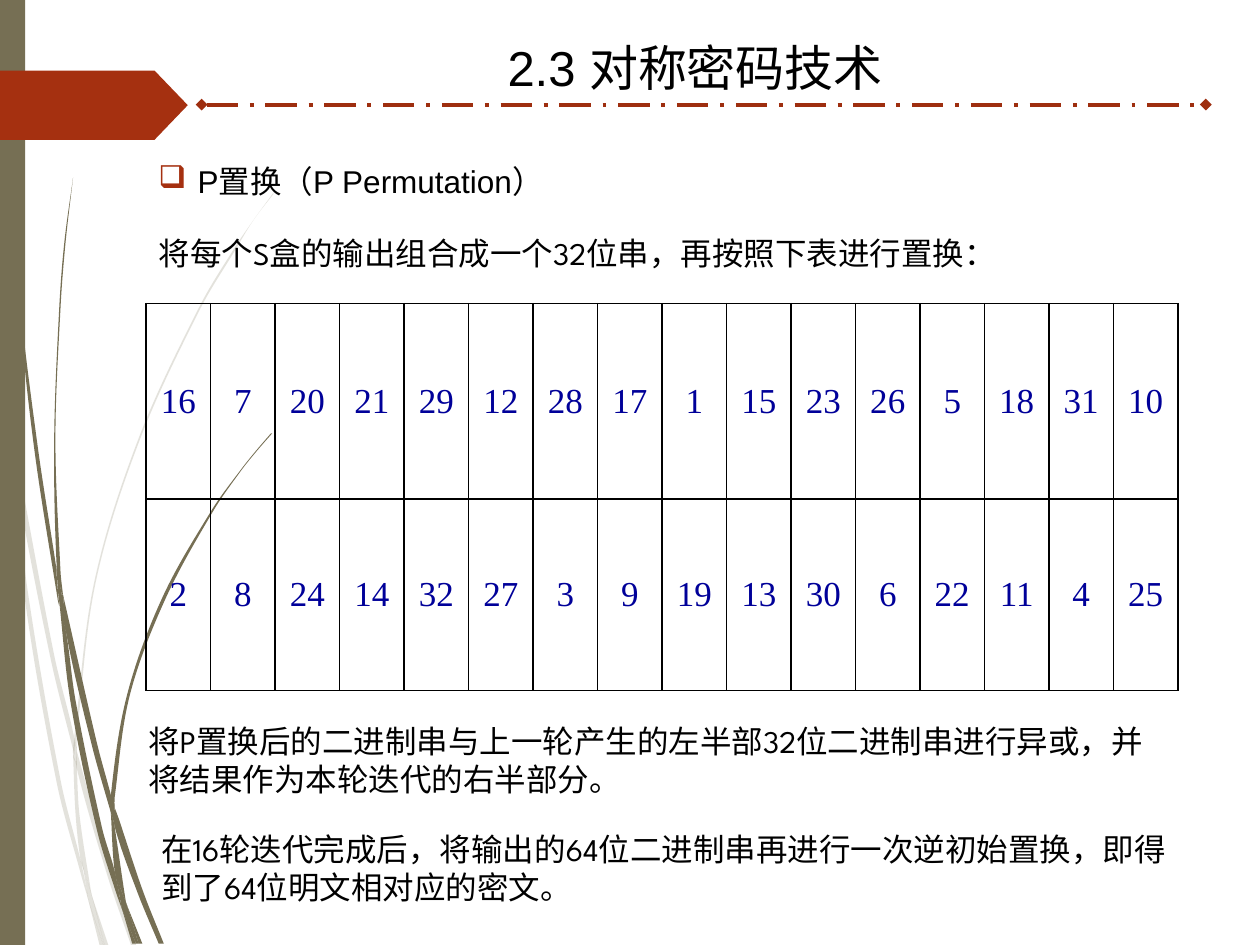
from lxml import etree
from pptx import Presentation
from pptx.dml.color import RGBColor
from pptx.enum.dml import MSO_LINE
from pptx.enum.shapes import MSO_CONNECTOR, MSO_SHAPE
from pptx.enum.text import MSO_ANCHOR, MSO_AUTO_SIZE, PP_ALIGN
from pptx.oxml.ns import qn
from pptx.util import Inches, Pt

RECT, PLATE = MSO_SHAPE.RECTANGLE, MSO_SHAPE.PENTAGON
STRAIGHT, DASH = MSO_CONNECTOR.STRAIGHT, MSO_LINE.LONG_DASH_DOT
CENTER, MIDDLE = PP_ALIGN.CENTER, MSO_ANCHOR.MIDDLE
GROW = MSO_AUTO_SIZE.SHAPE_TO_FIT_TEXT

COLORS = {"olive": "766F54", "red": "A53010", "rule": "9E2E0F",
          "ink": "000000", "navy": "000099"}
BODY = "League Spartan"

# Outlines of the grass blades: x,y knots in inches, joined by smooth curves.
PALE = [
    "0.08,3.5 0.06,3.22 0,2.82 0,2.99 0.07,3.44",
    "0.4,5.22 0.59,5.99 0.59,5.86 0.43,5.2 0.1,3.45 0.12,3.76",
    "0.64,6.07 0.61,5.96 0.61,6.1 0.85,6.94 1.04,7.5 1.08,7.5 0.88,6.92",
    "0.83,7.5 0.86,7.5 0.73,7.11",
    "0.64,6.83 0.48,6.19 0.22,4.69 0.12,3.76 0.08,3.5 0.19,4.7 0.45,6.21 "
    "0.64,6.93 0.7,7.14 0.69,7.07",
    "0.58,5.99 0.6,6.46 0.64,6.83 0.67,6.92 0.73,7.11 0.72,7.06 0.63,6.46 "
    "0.61,6.1 0.61,6.08",
    "0.61,5.84 0.76,4.62 1.11,3.49 1.59,2.45 1.87,1.98 2.01,1.75 2.17,1.54 "
    "2.17,1.53 2.01,1.75 1.86,1.97 1.58,2.44 1.1,3.48 0.75,4.61 0.59,5.84 "
    "0.59,5.86 0.61,5.96",
    "0.7,7.14 0.79,7.5 0.82,7.5",
    "0.61,6.08 0.61,6.1 0.61,5.96 0.59,5.86 0.58,5.99",
    "0.67,6.92 0.65,6.83 0.69,7.07 0.7,7.14 0.82,7.5 0.83,7.5 0.73,7.11",
]
DARK = [
    "0.05,1.1 0.14,2.33 0.27,3.55 0.46,4.77 0.47,4.81 0.45,4.57 0.45,4.53 "
    "0.3,3.55 0.15,2.32 0.06,1.09 0.04,0.48 0.03,0 0.02,0 0.03,0.48",
    "0.73,5.92 0.88,6.45 0.88,6.33 0.88,6.31 0.77,5.9 0.5,4.72 0.53,5.05",
    "0.94,6.49 0.91,6.41 0.91,6.56 1.09,7.08 1.26,7.49 1.3,7.49 1.13,7.06",
    "0.91,6.91 0.81,6.57 0.6,5.56 0.53,5.05 0.47,4.77 0.56,5.57 0.77,6.59 "
    "0.92,7.08 0.97,7.22 0.96,7.17",
    "0.5,4.72 0.48,4.53 0.44,3.49 0.48,2.45 0.52,1.93 0.58,1.41 0.51,1.93 "
    "0.47,2.45 0.43,3.49 0.45,4.49 0.49,4.72",
    "1.1,7.49 1.13,7.49 1.01,7.19",
    "0.47,4.77 0.53,5.05 0.5,4.72 0.49,4.72 0.45,4.49 0.45,4.53",
    "0.91,6.33 1.03,5.52 1.31,4.76 1.69,4.06 1.91,3.74 2.03,3.59 2.16,3.44 "
    "2.15,3.44 2.03,3.58 1.91,3.73 1.68,4.05 1.29,4.74 1.01,5.51 0.88,6.31 "
    "0.91,6.41",
    "0.97,7.22 1.05,7.49 1.08,7.49",
    "0.88,6.45 0.91,6.91 0.96,7.06 1.01,7.19 1,7.16 0.91,6.56 0.9,6.51",
    "0.88,6.45 0.9,6.51 0.91,6.56 0.91,6.41 0.88,6.31 0.88,6.33",
    "0.96,7.06 0.91,6.91 0.96,7.17 0.97,7.22 1.08,7.49 1.1,7.49 1.01,7.19",
]
ORDER = [
    [16, 7, 20, 21, 29, 12, 28, 17, 1, 15, 23, 26, 5, 18, 31, 10],
    [2, 8, 24, 14, 32, 27, 3, 9, 19, 13, 30, 6, 22, 11, 4, 25],
]


def rgb(name):
    return RGBColor.from_string(COLORS[name])


def sub(node, tag, **attrs):
    return etree.SubElement(node, qn(tag), attrs)


def paint(shape, color, alpha=None):
    shape.shadow.inherit = False
    shape.fill.solid()
    shape.fill.fore_color.rgb = rgb(color)
    shape.line.fill.background()
    if alpha:
        tone = shape.fill._xPr.find(qn("a:solidFill"))[0]
        sub(tone, "a:alpha", val=str(alpha * 1000))


def slope(a, b, c):
    """Return the unit direction at b, or 0 where the outline has a corner."""
    come, leave = b - a, c - b
    dot = (come * leave.conjugate()).real
    if dot <= 0.8 * abs(come) * abs(leave):
        return 0
    return (c - a) / abs(c - a)


def curve(shape, knots):
    """Turn the straight sides of a closed outline into smooth curves."""
    count = len(knots)
    lean = [slope(knots[i - 1], knots[i], knots[(i + 1) % count])
            for i in range(count)]
    for i, side in enumerate(list(shape._element.iter(qn("a:lnTo")))):
        j = (i + 1) % count
        third = (knots[j] - knots[i]) / 3
        pulls = (knots[i] + (lean[i] * abs(third) or third),
                 knots[j] - (lean[j] * abs(third) or third))
        for k, pull in enumerate(pulls):
            spot = etree.Element(qn("a:pt"), x=str(round(pull.real) - shape.left),
                                 y=str(round(pull.imag) - shape.top))
            side.insert(k, spot)
        side.tag = qn("a:cubicBezTo")


def add_blade(slide, text, alpha=None):
    edge = [tuple(Inches(float(n)) for n in knot.split(","))
            for knot in text.split()]
    pen = slide.shapes.build_freeform(*edge[0])
    pen.add_line_segments(edge[1:] + edge[:1], close=True)
    blade = pen.convert_to_shape()
    curve(blade, [complex(x, y) for x, y in edge])
    paint(blade, "olive", alpha)


def add_decor(slide, width, height):
    for text in PALE:
        add_blade(slide, text, alpha=20)
    for text in DARK:
        add_blade(slide, text)
    bar = slide.shapes.add_shape(RECT, 0, 0, Inches(0.2), height)
    paint(bar, "olive")
    tag = slide.shapes.add_shape(PLATE, 0, Inches(0.56), Inches(1.49), Inches(0.55))
    tag.adjustments[0] = 0.48
    paint(tag, "red")
    mid = Inches(0.83)
    rule = slide.shapes.add_connector(
        STRAIGHT, Inches(1.6), mid, width - Inches(0.43), mid)
    rule.line.color.rgb = rgb("rule")
    rule.line.width = Pt(2.25)
    rule.line.dash_style = DASH
    for end in ("a:headEnd", "a:tailEnd"):
        sub(rule.line._get_or_add_ln(), end, type="diamond")
    sub(rule._element.spPr, "a:effectLst")


def write(frame, text, size=18, font=BODY, color="ink", align=None):
    para = frame.paragraphs[0]
    para.alignment = align
    run = para.add_run()
    run.text = text
    run.font.size = Pt(size)
    run.font.name = font
    run.font.color.rgb = rgb(color)
    return para


def add_text(slide, box, text, wrap=True, bullet=None, **style):
    frame = slide.shapes.add_textbox(*map(Inches, box)).text_frame
    frame.word_wrap = wrap
    frame.auto_size = GROW
    para = write(frame, text, **style)
    if bullet:
        props = para._p.get_or_add_pPr()
        props.set("marL", str(Inches(0.31)))
        props.set("indent", str(-Inches(0.31)))
        sub(sub(props, "a:buClr"), "a:srgbClr", val=COLORS["red"])
        sub(props, "a:buChar", char=bullet)


def frame_cell(cell):
    props = cell._tc.get_or_add_tcPr()
    for side in ("a:lnL", "a:lnR", "a:lnT", "a:lnB"):
        line = sub(props, side, w=str(Pt(1)))
        sub(sub(line, "a:solidFill"), "a:srgbClr", val=COLORS["ink"])


def add_grid(slide, box, rows, tall):
    left, top, width, height = map(Inches, box)
    count = len(rows[0])
    table = slide.shapes.add_table(
        len(rows), count, left, top, width, height).table
    table.first_row = table.horz_banding = False
    for col in table.columns:
        col.width = width // count
    for r, row in enumerate(rows):
        table.rows[r].height = Inches(tall[r])
        for c, value in enumerate(row):
            cell = table.cell(r, c)
            cell.vertical_anchor = MIDDLE
            cell.margin_left = cell.margin_right = Inches(0.05)
            frame_cell(cell)
            cell.fill.background()
            write(cell.text_frame, str(value), size=20,
                  font="Times New Roman", color="navy", align=CENTER)


def add_body(slide):
    add_text(slide, (3.93, 0.25, 3.34, 0.57), "2.3 对称密码技术",
             wrap=False, size=28, font="Arial")
    add_text(slide, (1.16, 1.24, 4.84, 0.4), "P置换（P Permutation）",
             bullet="❑", font="Arial")
    add_text(slide, (1.16, 1.81, 8.05, 0.4),
             "将每个S盒的输出组合成一个32位串，再按照下表进行置换：")
    add_grid(slide, (1.16, 2.41, 8.19, 3.07), ORDER, (1.55, 1.52))
    add_text(slide, (1.08, 5.68, 8.27, 0.71),
             "将P置换后的二进制串与上一轮产生的左半部32位二进制串进行异或，并将结果作为本轮迭代的右半部分。")
    add_text(slide, (1.18, 6.54, 8.17, 0.71),
             "在16轮迭代完成后，将输出的64位二进制串再进行一次逆初始置换，即得到了64位明文相对应的密文。")


def main():
    deck = Presentation()
    deck.slide_width, deck.slide_height = Inches(10), Inches(7.5)
    slide = deck.slides.add_slide(deck.slide_layouts[6])
    add_decor(slide, deck.slide_width, deck.slide_height)
    add_body(slide)
    deck.save("out.pptx")


if __name__ == "__main__":
    main()
